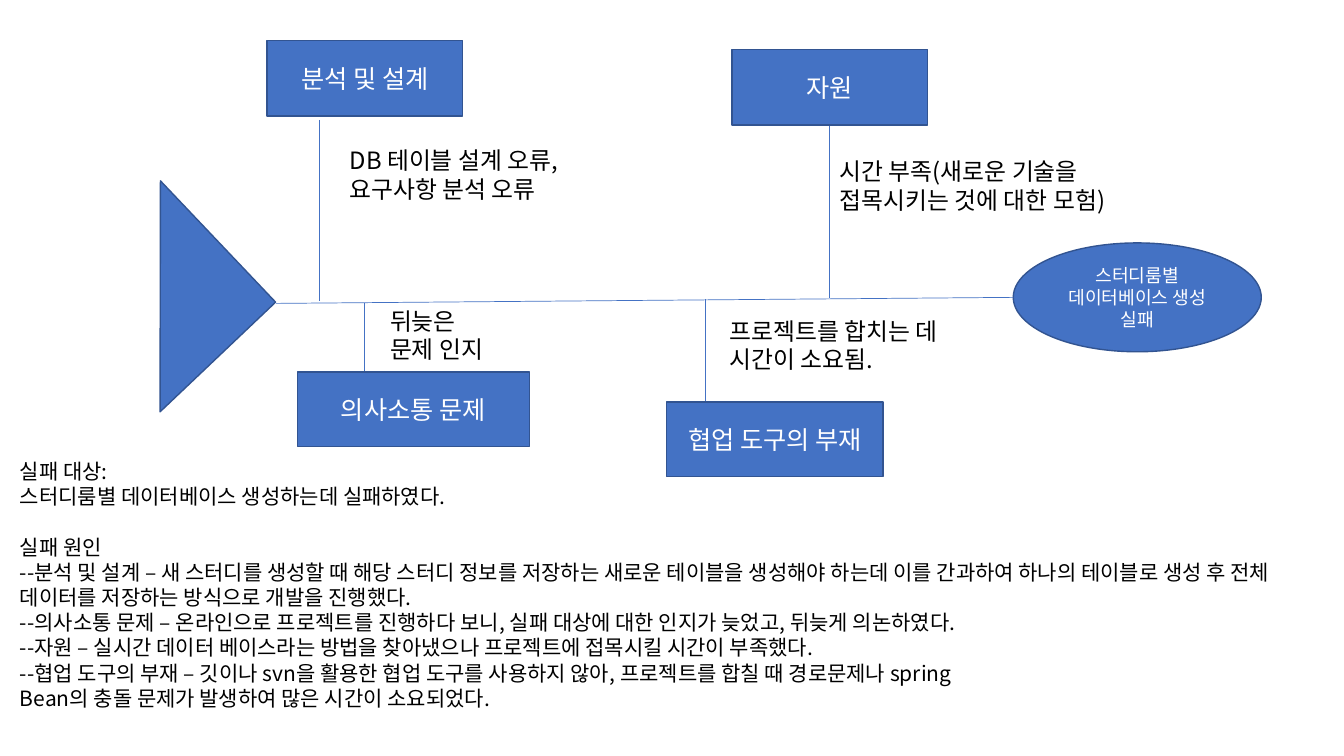
from lxml import etree
from pptx import Presentation
from pptx.dml.color import RGBColor
from pptx.enum.shapes import MSO_CONNECTOR, MSO_SHAPE
from pptx.enum.text import MSO_ANCHOR, PP_ALIGN
from pptx.oxml.ns import qn
from pptx.util import Pt

RECT, OVAL, TRIANGLE = MSO_SHAPE.RECTANGLE, MSO_SHAPE.OVAL, MSO_SHAPE.RIGHT_TRIANGLE
STRAIGHT = MSO_CONNECTOR.STRAIGHT
MIDDLE, TOP = MSO_ANCHOR.MIDDLE, MSO_ANCHOR.TOP
CENTER, LEFT = PP_ALIGN.CENTER, PP_ALIGN.LEFT

FONT = "Noto Sans CJK KR"
BLUE, EDGE, WHITE, BLACK = "4472C4", "325491", "FFFFFF", "000000"
EMU_PER_PX = 9144
LINE_HEIGHT = 1.2
BOTTOM = 2

TAIL = (80, 211, 158, 166)
TAIL_ANGLE = 316.5
HEAD = ((1005, 241, 246, 108), ["스터디룸별", "데이터베이스 생성", "실패"])
SPINE = (274, 301, 1005, 295)
CAUSES = [
    {"name": "분석 및 설계", "box": (265, 40, 194, 75), "bone": (317, 119, 317, 299),
     "note": (337, 140, 377, 67), "detail": ["DB 테이블 설계 오류,", "요구사항 분석 오류"]},
    {"name": "자원", "box": (726, 49, 194, 75), "bone": (823, 124, 823, 296), "joined": True,
     "note": (823, 151, 399, 67), "detail": ["시간 부족(새로운 기술을", "접목시키는 것에 대한 모험)"]},
    {"name": "의사소통 문제", "box": (295, 369, 230, 74), "bone": (361, 301, 361, 380),
     "note": (377, 299, 148, 67), "detail": ["뒤늦은", "문제 인지"]},
    {"name": "협업 도구의 부재", "box": (661, 399, 215, 74), "bone": (700, 297, 700, 421),
     "note": (714, 309, 269, 67), "detail": ["프로젝트를 합치는 데 시간이 소요됨."]},
]
SUMMARY_BOX = (10, 450, 1280, 323)
REASONS_TITLE = "실패 원인"
SUMMARY = [
    "실패 대상:",
    "스터디룸별 데이터베이스 생성하는데 실패하였다.",
    REASONS_TITLE,
    "--분석 및 설계 – 새 스터디를 생성할 때 해당 스터디 정보를 저장하는 새로운 테이블을 생성해야 하는데 "
    "이를 간과하여 하나의 테이블로 생성 후 전체 데이터를 저장하는 방식으로 개발을 진행했다.",
    "--의사소통 문제 – 온라인으로 프로젝트를 진행하다 보니, 실패 대상에 대한 인지가 늦었고, 뒤늦게 의논하였다.",
    "--자원 – 실시간 데이터 베이스라는 방법을 찾아냈으나 프로젝트에 접목시킬 시간이 부족했다.",
    "--협업 도구의 부재 – 깃이나 svn을 활용한 협업 도구를 사용하지 않아, 프로젝트를 합칠 때 경로문제나 spring",
    "Bean의 충돌 문제가 발생하여 많은 시간이 소요되었다.",
]


def px(values):
    return [v * EMU_PER_PX for v in values]


def rgb(value):
    return RGBColor.from_string(value)


def write(sp, lines, size, color=BLACK, align=LEFT, anchor=TOP, gap_before=None):
    tf = sp.text_frame
    tf.word_wrap = True
    tf.vertical_anchor = anchor
    for i, line in enumerate(lines):
        p = tf.add_paragraph() if i else tf.paragraphs[0]
        p.alignment = align
        p.line_spacing = Pt(size * LINE_HEIGHT)
        if line == gap_before:
            p.space_before = Pt(size * LINE_HEIGHT)
        r = p.add_run()
        r.text = line
        r.font.size = Pt(size)
        r.font.name = FONT
        r.font.color.rgb = rgb(color)
        etree.SubElement(r.font._element, qn("a:ea"), typeface=FONT)


def add_block(slide, kind, box):
    sp = slide.shapes.add_shape(kind, *px(box))
    sp.shadow.inherit = False
    sp.fill.solid()
    sp.fill.fore_color.rgb = rgb(BLUE)
    sp.line.color.rgb = rgb(EDGE)
    sp.line.width = Pt(1)
    return sp


def add_bone(slide, ends):
    line = slide.shapes.add_connector(STRAIGHT, *px(ends))
    line.line.color.rgb = rgb(BLUE)
    line.line.width = Pt(0.5)
    etree.SubElement(line._element.spPr, qn("a:effectLst"))
    return line


def main():
    """Build the fishbone diagram of failure causes."""
    prs = Presentation()
    prs.slide_width, prs.slide_height = px((1333, 750))
    slide = prs.slides.add_slide(prs.slide_layouts[6])

    tail = add_block(slide, TRIANGLE, TAIL)
    tail._element.spPr.get_or_add_xfrm().set("flipH", "1")
    tail.rotation = TAIL_ANGLE
    head_box, head_lines = HEAD
    write(add_block(slide, OVAL, head_box), head_lines, 13, WHITE, CENTER, MIDDLE)
    add_bone(slide, SPINE)

    for cause in CAUSES:
        bone = add_bone(slide, cause["bone"])
        sp = add_block(slide, RECT, cause["box"])
        write(sp, [cause["name"]], 18, WHITE, CENTER, MIDDLE)
        if cause.get("joined"):
            bone.begin_connect(sp, BOTTOM)
        write(slide.shapes.add_textbox(*px(cause["note"])), cause["detail"], 17)

    write(slide.shapes.add_textbox(*px(SUMMARY_BOX)), SUMMARY, 15, gap_before=REASONS_TITLE)
    prs.save("out.pptx")


if __name__ == "__main__":
    main()
